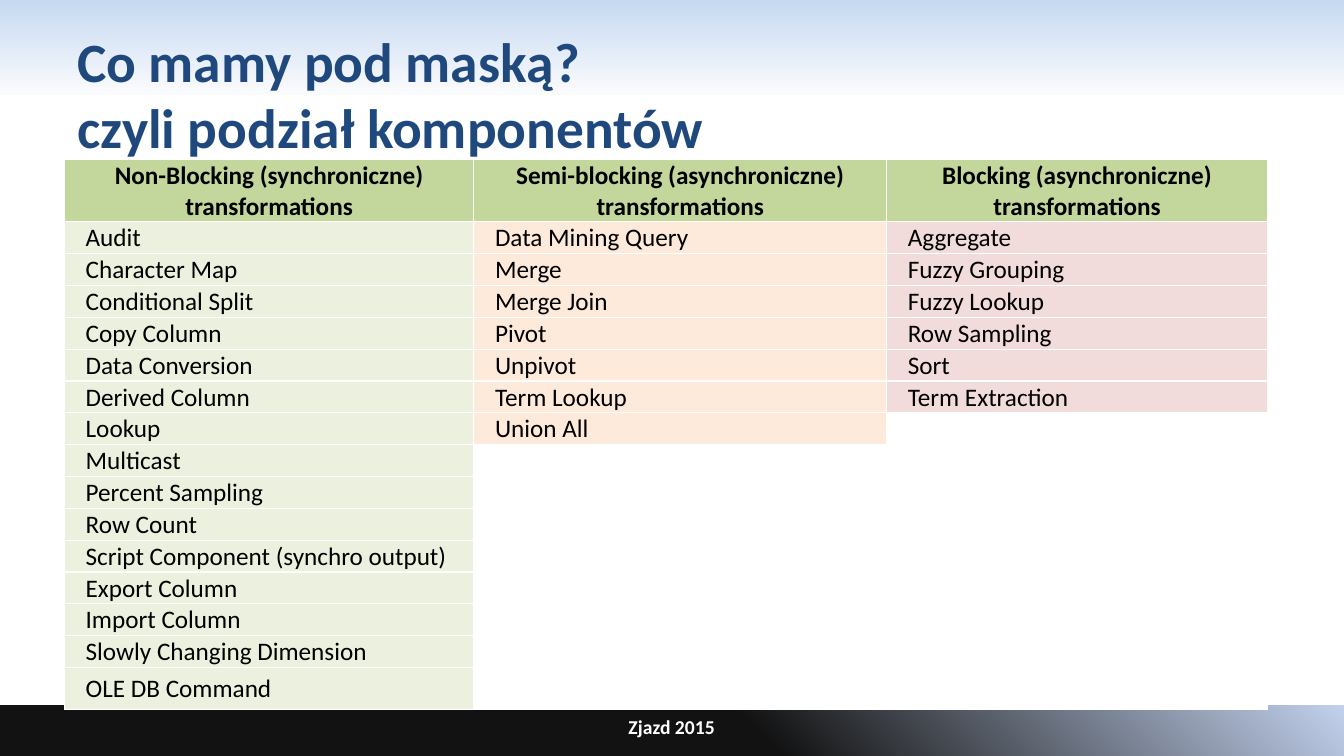
"""Build the slide that sorts data flow components by blocking type."""
from dataclasses import dataclass

from lxml.etree import SubElement as Sub
from pptx import Presentation
from pptx.dml.color import RGBColor as RGB
from pptx.enum.shapes import MSO_SHAPE as Shape
from pptx.enum.text import MSO_ANCHOR as Anchor, PP_ALIGN as Align
from pptx.oxml.ns import qn
from pptx.table import _Cell as Cell
from pptx.text.text import _Paragraph as Para
from pptx.util import Pt

FONT = "Calibri"
WHITE = RGB(0xFF, 0xFF, 0xFF)
BLACK = RGB(0, 0, 0)
NAVY = RGB(0x1F, 0x49, 0x7D)
SKY = RGB(0xC6, 0xD9, 0xF1)
MIST = RGB(0xFA, 0xFB, 0xFD)
COAL = RGB(0x12, 0x12, 0x12)
STEEL = RGB(0xC2, 0xD1, 0xED)
OLIVE = RGB(0xC3, 0xD6, 0x9B)
LIME = RGB(0xEB, 0xF1, 0xDE)
PEACH = RGB(0xFD, 0xEA, 0xDA)
ROSE = RGB(0xF2, 0xDC, 0xDB)


@dataclass
class Band:
    top: float
    height: float
    start: RGB
    end: RGB
    hold: float
    angle: float


@dataclass
class Column:
    head: str
    width: float
    tint: RGB
    items: list[str]


BANDS = [
    Band(0, 67.7, SKY, MIST, 0, 270),
    Band(503.6, 36.4, COAL, STEEL, 0.56, 45),
]
COLUMNS = [
    Column("Non-Blocking (synchroniczne)\ntransformations", 292.4, LIME, [
        "Audit", "Character Map", "Conditional Split", "Copy Column",
        "Data Conversion", "Derived Column", "Lookup", "Multicast",
        "Percent Sampling", "Row Count", "Script Component (synchro output)",
        "Export Column", "Import Column", "Slowly Changing Dimension",
        "OLE DB Command"]),
    Column("Semi-blocking (asynchroniczne) transformations", 294.9, PEACH, [
        "Data Mining Query", "Merge", "Merge Join", "Pivot", "Unpivot",
        "Term Lookup", "Union All"]),
    Column("Blocking (asynchroniczne) transformations", 272, ROSE, [
        "Aggregate", "Fuzzy Grouping", "Fuzzy Lookup", "Row Sampling",
        "Sort", "Term Extraction"]),
]


def write(para: Para, text: str, size: float, color: RGB, bold: bool) -> None:
    run = para.add_run()
    run.text = text
    font = run.font
    font.name, font.size, font.bold = FONT, Pt(size), bold
    font.color.rgb = color


def draw_band(shapes, band: Band, width: int) -> None:
    box = shapes.add_shape(Shape.RECTANGLE, 0, Pt(band.top), width, Pt(band.height))
    box.shadow.inherit = False
    box.line.fill.background()
    box.fill.gradient()
    box.fill.gradient_angle = band.angle
    first, last = box.fill.gradient_stops
    first.color.rgb, first.position = band.start, band.hold
    last.color.rgb, last.position = band.end, 1


def draw_title(shapes) -> None:
    title = shapes.title
    shapes.element.append(title.element)
    title.left, title.top = Pt(48), Pt(21.6)
    title.width, title.height = Pt(864), Pt(90)
    frame = title.text_frame
    frame.vertical_anchor = Anchor.MIDDLE
    para = frame.paragraphs[0]
    para.alignment = Align.LEFT
    write(para, "Co mamy pod maską?", 39.6, NAVY, True)
    para.add_line_break()
    write(para, "czyli podział komponentów", 39.6, NAVY, True)


def draw_foot(shapes) -> None:
    frame = shapes.add_textbox(Pt(267.8), Pt(504), Pt(424), Pt(30.2)).text_frame
    frame.word_wrap = True
    frame.vertical_anchor = Anchor.MIDDLE
    para = frame.paragraphs[0]
    para.alignment = Align.CENTER
    write(para, "Zjazd 2015", 14, WHITE, True)


def style(cell: Cell, tint: RGB) -> None:
    cell.vertical_anchor = Anchor.MIDDLE
    cell.margin_left = cell.margin_right = cell.margin_top = Pt(0.72)
    cell.margin_bottom = 0
    props = cell._tc.get_or_add_tcPr()
    for side in ("a:lnL", "a:lnR", "a:lnT", "a:lnB"):
        line = Sub(props, qn(side), w=str(Pt(1)))
        Sub(Sub(line, qn("a:solidFill")), qn("a:srgbClr"), val=str(WHITE))
    cell.fill.solid()
    cell.fill.fore_color.rgb = tint


def fill_head(cell: Cell, text: str) -> None:
    style(cell, OLIVE)
    frame = cell.text_frame
    for i, part in enumerate(text.split("\n")):
        para = frame.add_paragraph() if i else frame.paragraphs[0]
        para.alignment = Align.CENTER
        write(para, part, 18, BLACK, True)


def fill_item(cell: Cell, text: str) -> None:
    para = cell.text_frame.paragraphs[0]
    para._p.get_or_add_pPr().set("marL", str(Pt(14.4)))
    write(para, text, 18, BLACK, False)


def draw_table(shapes) -> None:
    count = max(len(col.items) for col in COLUMNS)
    highs = [44.3] + [22.75] * (count - 1) + [30]
    wide = sum(col.width for col in COLUMNS)
    table = shapes.add_table(count + 1, len(COLUMNS), Pt(46.1), Pt(113.8),
                             Pt(wide), Pt(sum(highs))).table
    table.horz_banding = False
    for row, high in zip(table.rows, highs):
        row.height = Pt(high)
    for x, col in enumerate(COLUMNS):
        table.columns[x].width = Pt(col.width)
        fill_head(table.cell(0, x), col.head)
        for y in range(count):
            cell = table.cell(y + 1, x)
            used = y < len(col.items)
            style(cell, col.tint if used else WHITE)
            if used:
                fill_item(cell, col.items[y])


def main() -> None:
    deck = Presentation()
    deck.slide_width, deck.slide_height = Pt(960), Pt(540)
    shapes = deck.slides.add_slide(deck.slide_layouts[5]).shapes
    for band in BANDS:
        draw_band(shapes, band, deck.slide_width)
    draw_foot(shapes)
    draw_title(shapes)
    draw_table(shapes)
    deck.save("out.pptx")


if __name__ == "__main__":
    main()
